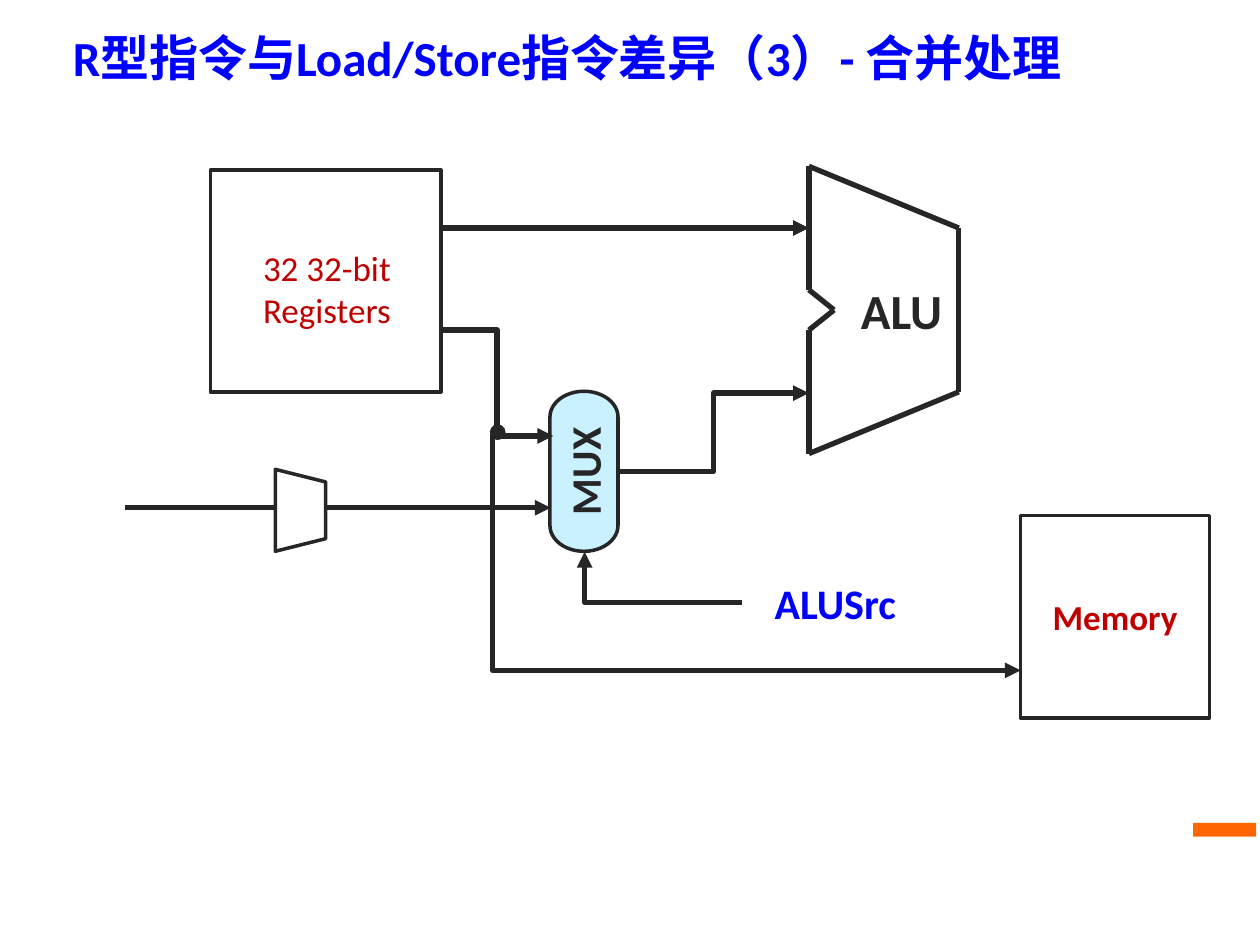
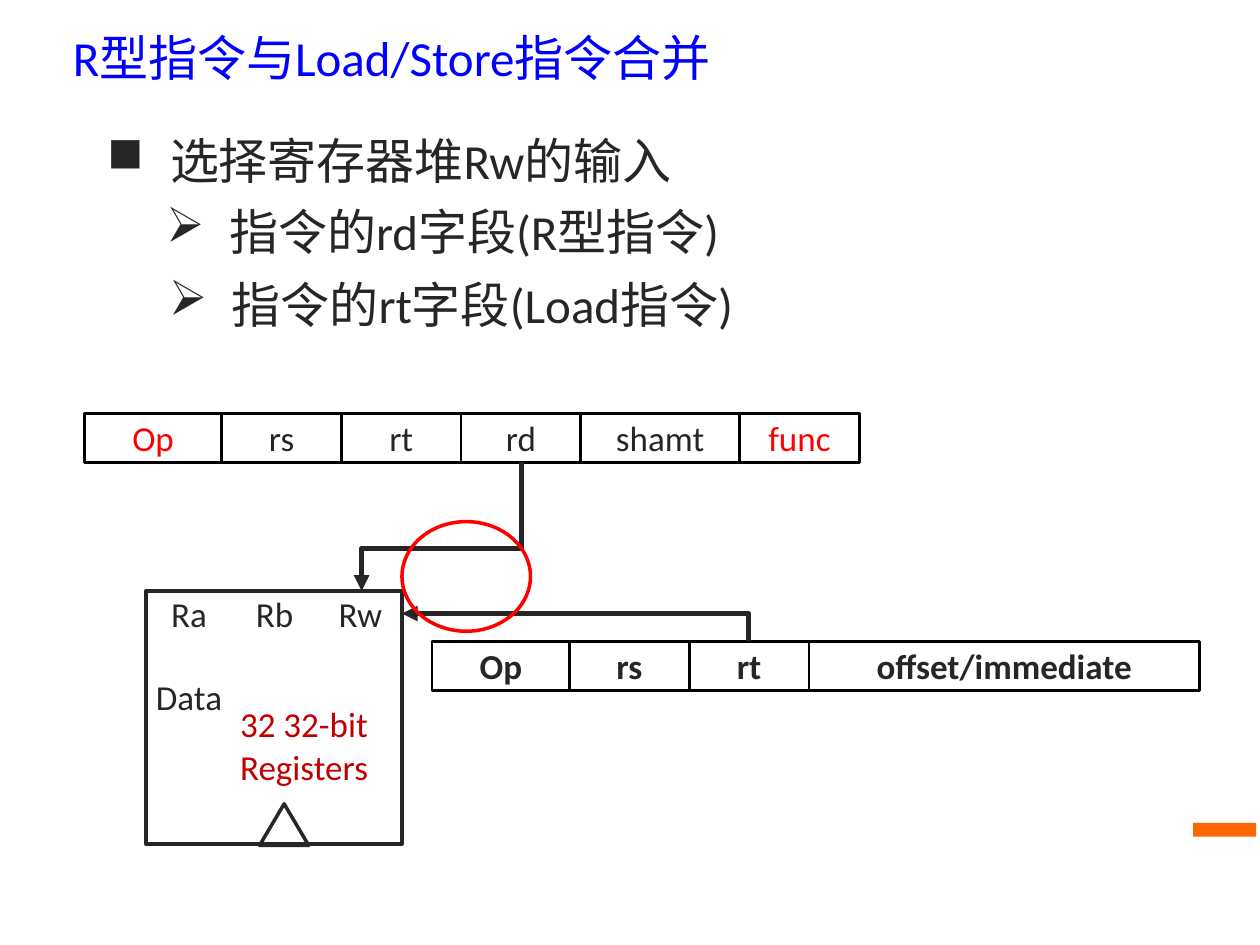
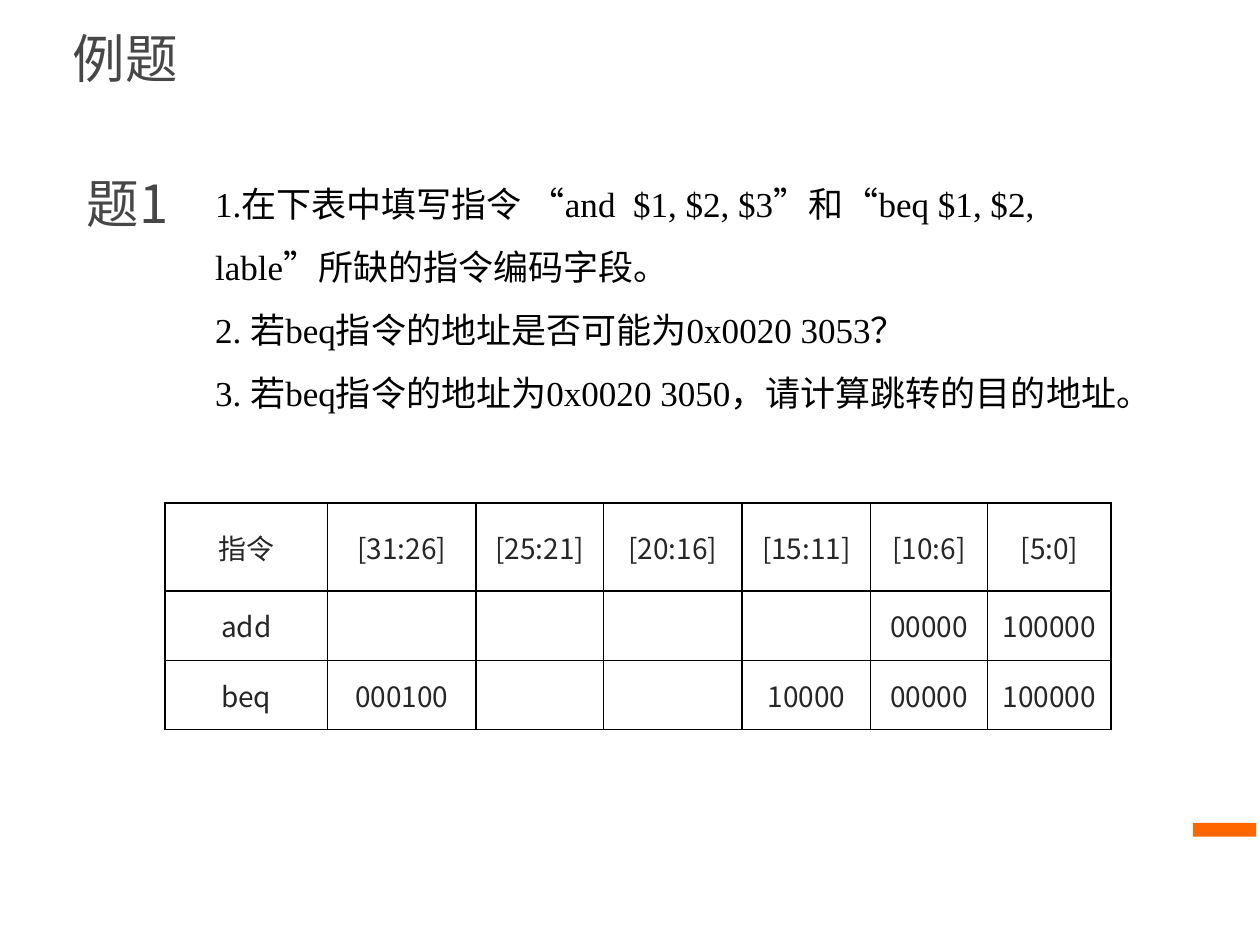
from dataclasses import dataclass, replace
from itertools import pairwise

import pptx
import pptx.dml.color
import pptx.enum.shapes
import pptx.enum.text
import pptx.oxml
import pptx.oxml.ns
import pptx.util
from lxml import etree

Inches = pptx.util.Inches
Pt = pptx.util.Pt
RGBColor = pptx.dml.color.RGBColor
Shape = pptx.enum.shapes.MSO_SHAPE
Connector = pptx.enum.shapes.MSO_CONNECTOR
Align = pptx.enum.text.PP_ALIGN
Anchor = pptx.enum.text.MSO_ANCHOR
qn = pptx.oxml.ns.qn

BLUE = RGBColor(0x00, 0x00, 0xFF)
INK = RGBColor(0x26, 0x26, 0x26)
GREY = RGBColor(0x47, 0x47, 0x47)
DARK_RED = RGBColor(0xC0, 0x00, 0x00)
RED = RGBColor(0xFF, 0x00, 0x00)
BLACK = RGBColor(0x00, 0x00, 0x00)
WHITE = RGBColor(0xFF, 0xFF, 0xFF)
PALE_BLUE = RGBColor(0xC9, 0xF1, 0xFF)
ORANGE = RGBColor(0xFF, 0x66, 0x00)
CJK_FONT = "Noto Sans CJK SC"

Point = tuple[float, float]


@dataclass(frozen=True)
class Box:
    left: float
    top: float
    width: float
    height: float

    def lengths(self) -> list[int]:
        return [Inches(n) for n in (self.left, self.top, self.width, self.height)]


@dataclass(frozen=True)
class TextStyle:
    size: int = 20
    color: RGBColor = INK
    bold: bool = False
    font: str = "Calibri"
    align: Align = Align.CENTER
    spacing: float | None = None


@dataclass(frozen=True)
class Outline:
    color: RGBColor = INK
    width: float = 2


@dataclass(frozen=True)
class Field:
    name: str
    width: float
    color: RGBColor = INK


LABEL = TextStyle()
REGISTERS = TextStyle(color=DARK_RED)
TITLE = TextStyle(28, BLUE, align=Align.LEFT)
HEADING = TextStyle(30, GREY, font=CJK_FONT, align=Align.LEFT)
BULLET = TextStyle(28, align=Align.LEFT)
QUESTION = TextStyle(20, BLACK, font="Times New Roman", align=Align.LEFT, spacing=1.5)
CELL = TextStyle(16, font=CJK_FONT)
FIELD_OUTLINE = Outline(BLACK, 1.5)
REGISTER_TEXT = "32 32-bit\nRegisters"


def write(text_frame, text: str, style: TextStyle) -> None:
    text_frame.text = text
    for paragraph in text_frame.paragraphs:
        paragraph.alignment = style.align
        if style.spacing:
            paragraph.line_spacing = style.spacing
        for run in paragraph.runs:
            run.font.size = Pt(style.size)
            run.font.bold = style.bold
            run.font.name = style.font
            run.font.color.rgb = style.color
            east_asian = etree.SubElement(run.font._element, qn("a:ea"))
            east_asian.set("typeface", CJK_FONT)


def add_text(slide, box: Box, text: str, style: TextStyle,
             anchor: Anchor = Anchor.TOP, inset: Point = (0.1, 0.05)):
    text_frame = slide.shapes.add_textbox(*box.lengths()).text_frame
    text_frame.word_wrap = True
    text_frame.vertical_anchor = anchor
    text_frame.margin_left = text_frame.margin_right = Inches(inset[0])
    text_frame.margin_top = text_frame.margin_bottom = Inches(inset[1])
    write(text_frame, text, style)
    return text_frame


def add_label(slide, box: Box, text: str, style: TextStyle = LABEL) -> None:
    add_text(slide, box, text, style, inset=(0, 0))


def add_bullet(slide, box: Box, symbol: str, text: str) -> None:
    text_frame = add_text(slide, box, text, BULLET, inset=(0.11, 0.05))
    properties = text_frame.paragraphs[0]._p.get_or_add_pPr()
    properties.set("marL", str(Inches(0.5)))
    properties.set("indent", str(Inches(-0.5)))
    etree.SubElement(properties, qn("a:buChar")).set("char", symbol)


def add_figure(slide, kind: Shape, box: Box, fill: RGBColor | None = None,
               outline: Outline | None = Outline(), text: str = "",
               style: TextStyle = LABEL, rotation: int = 0) -> None:
    shape = slide.shapes.add_shape(kind, *box.lengths())
    shape.shadow.inherit = False
    shape.rotation = rotation
    if fill is None:
        shape.fill.background()
    else:
        shape.fill.solid()
        shape.fill.fore_color.rgb = fill
    if outline is None:
        shape.line.fill.background()
    else:
        shape.line.color.rgb = outline.color
        shape.line.width = Pt(outline.width)
    if text:
        shape.text_frame.vertical_anchor = Anchor.MIDDLE
        write(shape.text_frame, text, style)


def add_line(shapes, start: Point, end: Point, kind: Connector = Connector.STRAIGHT,
             head: str = "none", tail: str = "none"):
    connector = shapes.add_connector(kind, *[Inches(n) for n in (*start, *end)])
    connector.line.color.rgb = INK
    connector.line.width = Pt(3)
    line = connector.line._get_or_add_ln()
    etree.SubElement(line, qn("a:headEnd")).set("type", head)
    etree.SubElement(line, qn("a:tailEnd")).set("type", tail)
    etree.SubElement(connector._element.spPr, qn("a:effectLst"))
    return connector


def add_elbow_arrow(slide, start: Point, end: Point, bend: float | None = 0.5,
                    vertical: bool = False, head: str = "none") -> None:
    """Draw an arrow that turns at the fraction bend, or only once if bend is None.

    A vertical arrow leaves its start upwards or downwards.
    """
    across, down = end[0] - start[0], end[1] - start[1]
    middle_x, middle_y = (start[0] + end[0]) / 2, (start[1] + end[1]) / 2
    if vertical:
        width, height = abs(down), abs(across)
        rotation = 90 if down > 0 else 270
    else:
        width, height = abs(across), abs(down)
        rotation = 0 if across > 0 else 180
    flipped = (across * down > 0) == vertical
    left, right = middle_x - width / 2, middle_x + width / 2
    top, bottom = middle_y - height / 2, middle_y + height / 2
    if flipped:
        top, bottom = bottom, top
    connector = add_line(slide.shapes, (left, top), (right, bottom), Connector.ELBOW,
                         head, "triangle")
    properties = connector._element.spPr
    properties.xfrm.set("rot", str(rotation * 60000))
    geometry = properties.find(qn("a:prstGeom"))
    if bend is None:
        geometry.set("prst", "bentConnector2")
    else:
        guide = etree.SubElement(geometry.find(qn("a:avLst")), qn("a:gd"))
        guide.set("name", "adj1")
        guide.set("fmla", f"val {round(bend * 100000)}")


def add_instruction(slide, left: float, top: float, fields: list[Field],
                    bold: bool = False) -> None:
    for field in fields:
        add_figure(slide, Shape.RECTANGLE, Box(left, top, field.width, 0.39), WHITE,
                   FIELD_OUTLINE, field.name, TextStyle(color=field.color, bold=bold))
        left += field.width


def set_borders(cell) -> None:
    properties = cell._tc.get_or_add_tcPr()
    for side in ("lnL", "lnR", "lnT", "lnB"):
        line = etree.SubElement(properties, qn(f"a:{side}"))
        line.set("w", str(Pt(1)))
        fill = etree.SubElement(line, qn("a:solidFill"))
        etree.SubElement(fill, qn("a:srgbClr")).set("val", str(BLACK))


def add_encoding_table(slide, box: Box, columns: list[float], heights: list[float],
                       rows: list[list[str]]) -> None:
    table = slide.shapes.add_table(len(rows), len(columns), *box.lengths()).table
    table.first_row = table.horz_banding = False
    for column, width in zip(table.columns, columns):
        column.width = Inches(width)
    for row, height, texts in zip(table.rows, heights, rows):
        row.height = Inches(height)
        for cell, text in zip(row.cells, texts):
            set_borders(cell)
            cell.fill.solid()
            cell.fill.fore_color.rgb = WHITE
            cell.vertical_anchor = Anchor.MIDDLE
            write(cell.text_frame, text, CELL)


def add_slide(presentation, title: str, style: TextStyle):
    slide = presentation.slides.add_slide(presentation.slide_layouts[6])
    add_figure(slide, Shape.RECTANGLE, Box(9.47, 6.53, 0.5, 0.11), ORANGE, None)
    add_text(slide, Box(0.48, 0.08, 9.19, 0.75), title, style, Anchor.MIDDLE)
    return slide


def add_alu(slide) -> None:
    left, right, middle = 6.42, 7.61, 2.46
    corners = [(left, 1.32), (left, middle - 0.16), (left + 0.2, middle),
               (left, middle + 0.16), (left, 3.6), (right, 3.11), (right, 1.81)]
    group = slide.shapes.add_group_shape()
    for start, end in pairwise(corners + corners[:1]):
        add_line(group.shapes, start, end)
    add_label(slide, Box(6.72, 2.23, 0.87, 0.47), "ALU", TextStyle(28, bold=True))


def build_datapath_slide(presentation) -> None:
    slide = add_slide(presentation, "R型指令与Load/Store指令差异（3）- 合并处理",
                      replace(TITLE, bold=True))
    add_figure(slide, Shape.RECTANGLE, Box(1.67, 1.35, 1.83, 1.76))
    add_line(slide.shapes, (3.5, 1.81), (6.42, 1.81), tail="triangle")
    add_text(slide, Box(1.75, 1.91, 1.69, 0.78), REGISTER_TEXT, REGISTERS,
             inset=(0.11, 0.05))
    add_alu(slide)
    add_elbow_arrow(slide, (4.91, 3.74), (6.42, 3.12))
    add_figure(slide, Shape.FLOWCHART_TERMINATOR, Box(4, 3.47, 1.27, 0.54), PALE_BLUE,
               text="MUX", style=TextStyle(24, bold=True), rotation=270)
    add_elbow_arrow(slide, (3.5, 2.62), (4.39, 3.46))
    add_line(slide.shapes, (0.99, 4.03), (4.37, 4.03), tail="triangle")
    add_figure(slide, Shape.TRAPEZOID, Box(2.06, 3.85, 0.65, 0.4), WHITE, rotation=90)
    add_elbow_arrow(slide, (5.89, 4.78), (4.64, 4.38), bend=None)
    add_label(slide, Box(5.89, 4.58, 1.48, 0.4), "ALUSrc", TextStyle(24, BLUE, True))
    add_figure(slide, Shape.RECTANGLE, Box(8.1, 4.09, 1.5, 1.61), WHITE,
               text="Memory", style=replace(REGISTERS, bold=True))
    add_elbow_arrow(slide, (3.95, 3.43), (8.1, 5.32), bend=-0.01, head="oval")


def build_register_input_slide(presentation) -> None:
    slide = add_slide(presentation, "R型指令与Load/Store指令合并", TITLE)
    add_bullet(slide, Box(0.74, 0.99, 7.24, 0.58), "■", "选择寄存器堆Rw的输入")
    add_bullet(slide, Box(1.21, 1.55, 7.24, 0.58), "➢", "指令的rd字段(R型指令)")
    add_bullet(slide, Box(1.23, 2.13, 7.24, 0.58), "➢", "指令的rt字段(Load指令)")

    add_figure(slide, Shape.RECTANGLE, Box(1.16, 4.69, 2.03, 2.01))
    add_figure(slide, Shape.FLOWCHART_MERGE, Box(2.06, 6.38, 0.39, 0.33), rotation=180)
    for index, port in enumerate(["Ra", "Rb", "Rw"]):
        add_label(slide, Box(1.16 + 0.68 * index, 4.7, 0.68, 0.34), port)
    add_label(slide, Box(1.16, 5.36, 0.68, 0.34), "Data")
    add_text(slide, Box(1.34, 5.53, 1.69, 0.78), REGISTER_TEXT,
             replace(REGISTERS, align=Align.RIGHT), inset=(0.11, 0.05))

    register_fields = [Field("rs", 0.95), Field("rt", 0.95)]
    add_instruction(slide, 0.67, 3.28, [
        Field("Op", 1.09, RED), *register_fields, Field("rd", 0.95),
        Field("shamt", 1.26), Field("func", 0.95, RED)])
    add_elbow_arrow(slide, (4.14, 3.67), (2.87, 4.69), bend=0.67, vertical=True)
    add_instruction(slide, 3.43, 5.09, [
        Field("Op", 1.09), *register_fields, Field("offset/immediate", 3.1)], bold=True)
    add_elbow_arrow(slide, (5.94, 5.09), (3.19, 4.87), bend=None, vertical=True)
    add_figure(slide, Shape.OVAL, Box(3.19, 4.14, 1.02, 0.87), outline=Outline(RED))


def build_exercise_slide(presentation) -> None:
    slide = add_slide(presentation, "例题", HEADING)
    add_text(slide, Box(0.59, 1.23, 1.29, 0.75), "题1", HEADING, Anchor.MIDDLE)
    questions = [
        "1.在下表中填写指令 “and  $1, $2, $3”和“beq $1, $2, lable”所缺的指令编码字段。",
        "2. 若beq指令的地址是否可能为0x0020 3053？",
        "3. 若beq指令的地址为0x0020 3050，请计算跳转的目的地址。",
    ]
    add_text(slide, Box(1.61, 1.23, 7.44, 2.12), "\n".join(questions), QUESTION)
    add_encoding_table(
        slide, Box(1.31, 3.99, 7.52, 1.81),
        columns=[1.29, 1.18, 1.01, 1.1, 1.02, 0.93, 0.98],
        heights=[0.7, 0.55, 0.55],
        rows=[
            ["指令", "[31:26]", "[25:21]", "[20:16]", "[15:11]", "[10:6]", "[5:0]"],
            ["add", "", "", "", "", "00000", "100000"],
            ["beq", "000100", "", "", "10000", "00000", "100000"],
        ])


def main() -> None:
    presentation = pptx.Presentation()
    presentation.slide_width = Inches(10)
    presentation.slide_height = Inches(7.5)
    build_datapath_slide(presentation)
    build_register_input_slide(presentation)
    build_exercise_slide(presentation)
    presentation.save("out.pptx")


if __name__ == "__main__":
    main()
